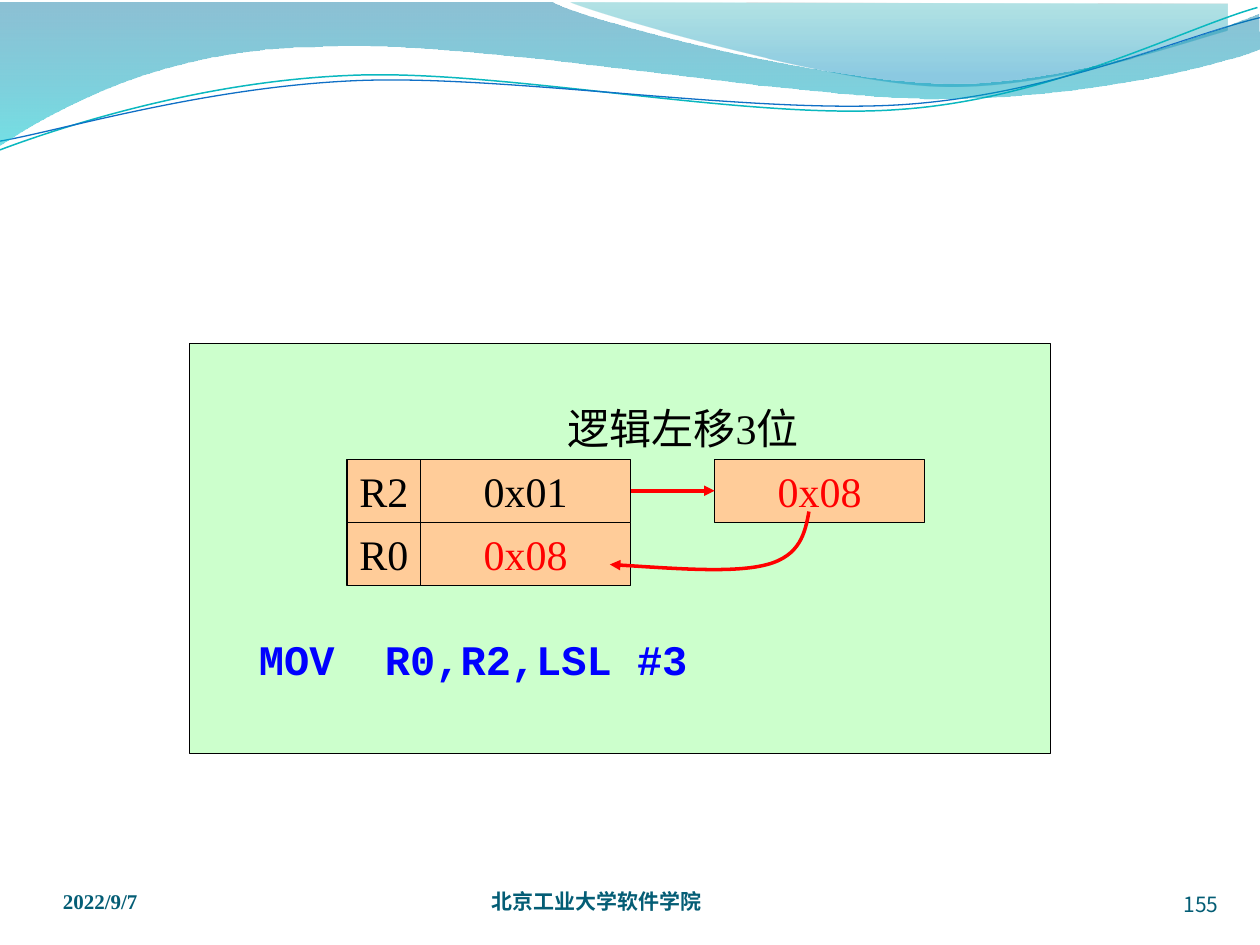
import lxml.etree
import pptx
import pptx.dml.color
import pptx.enum.shapes
import pptx.enum.text
import pptx.oxml.ns
import pptx.util

COLORS = {"panel": "CCFFCC", "cell": "FFCC99", "black": "000000", "red": "FF0000",
          "code": "0000FF", "footer": "045D75", "teal": "0AB8BF", "blue": "0F6FC6",
          "left_top": "0074A1", "left_end": "00C6CF",
          "right_top": "00A1A9", "right_end": "008BBF"}
RGB = {name: pptx.dml.color.RGBColor.from_string(value) for name, value in COLORS.items()}
INCH = 914400
qn = pptx.oxml.ns.qn
ALIGN = pptx.enum.text.PP_ALIGN
ANCHOR = pptx.enum.text.MSO_ANCHOR

deck = pptx.Presentation()
deck.slide_width, deck.slide_height = pptx.util.Inches(10), pptx.util.Inches(7.5)
slide = deck.slides.add_slide(deck.slide_layouts[6])
shapes = slide.shapes


def draw_curve(start, segments, closed):
    """Outline of straight (x, y) and cubic (x1, y1, x2, y2, x, y) segments, in inches."""
    points = [(round(x * 1000), round(y * 1000)) for segment in [start, *segments]
              for x, y in zip(segment[::2], segment[1::2])]
    builder = shapes.build_freeform(*points[0], scale=INCH / 1000)
    builder.add_line_segments(points[1:], close=closed)
    outline = builder.convert_to_shape()
    outline.shadow.inherit = False
    # Each cubic segment takes three points of the polyline
    pieces = iter(outline._element.xpath(".//a:lnTo"))
    for segment in segments:
        piece = next(pieces)
        if len(segment) == 6:
            cubic = lxml.etree.Element(qn("a:cubicBezTo"))
            piece.addprevious(cubic)
            for part in (piece, next(pieces), next(pieces)):
                cubic.append(part[0])
                part.getparent().remove(part)
    return outline


def write_text(box, text, size, color, font="Times New Roman", bold=False,
               align=ALIGN.CENTER, anchor=ANCHOR.MIDDLE, wrap=False):
    frame = box.text_frame
    frame.text = text
    frame.word_wrap = wrap
    frame.vertical_anchor = anchor
    frame.margin_left = frame.margin_right = frame.margin_top = frame.margin_bottom = 0
    paragraph = frame.paragraphs[0]
    paragraph.alignment = align
    run = paragraph.runs[0]
    run.font.size = pptx.util.Pt(size)
    run.font.bold = bold
    run.font.color.rgb = RGB[color]
    run.font.name = font
    east_asian = lxml.etree.SubElement(run.font._element, qn("a:ea"))
    east_asian.set("typeface", "Noto Sans CJK SC")


# Header waves, from back to front
right_wave = ((4.53, 0.02), [(4.83, 0.14, 6.56, 0.64, 7.42, 0.68),
                             (8.29, 0.72, 9.35, 0.35, 9.74, 0.24), (9.74, 0.03)])
teal_line = ((0, 1.19), [(0.48, 1.01, 1.58, 0.65, 2.76, 0.6),
                         (3.95, 0.54, 5.92, 0.96, 7.13, 0.87),
                         (8.33, 0.79, 9.38, 0.23, 9.98, 0.06)])
blue_line = ((0, 1.12), [(0.47, 1.04, 1.63, 0.69, 2.83, 0.64),
                         (4.02, 0.59, 5.97, 0.91, 7.17, 0.83),
                         (8.36, 0.75, 9.41, 0.28, 10, 0.14)])
left_wave = ((-0.01, 0.02), [(4.39, 0.02), (4.75, 0.19, 6.62, 0.66, 7.57, 0.66),
                             (8.52, 0.66, 9.57, 0.28, 9.99, 0.11), (10, 0.39),
                             (9.82, 0.47, 8.69, 0.78, 7.45, 0.78),
                             (6.21, 0.78, 3.81, 0.31, 2.56, 0.37),
                             (1.28, 0.38, 0.45, 0.86, -0.02, 1.16)])
for (start, segments), stops, line in [
        (right_wave, [(0, "right_top", 30), (0.8, "right_end", 45)], None),
        (teal_line, None, ("teal", 0.85)),
        (blue_line, None, ("blue", 0.75)),
        (left_wave, [(0, "left_top", 45), (1, "left_end", 55)], None)]:
    wave = draw_curve(start, segments, closed=bool(stops))
    if stops:
        wave.line.fill.background()
        wave.fill.gradient()
        wave.fill.gradient_angle = 270
        for stop, (position, color, _) in zip(wave.fill.gradient_stops, stops):
            stop.position = position
            stop.color.rgb = RGB[color]
        for element, (_, _, opacity) in zip(wave._element.xpath(".//a:gs/a:srgbClr"), stops):
            lxml.etree.SubElement(element, qn("a:alpha")).set("val", str(opacity * 1000))
    else:
        wave.fill.background()
        wave.line.color.rgb = RGB[line[0]]
        wave.line.width = pptx.util.Pt(line[1])

# Footer: date, school, page number
for text, left, top, width, font, bold, align in [
        ("2022/9/7", 0.05, 0.917, 0.233, "Times New Roman", True, ALIGN.LEFT),
        ("北京工业大学软件学院", 0.39, 0.917, 0.367, "Noto Sans CJK SC", True, ALIGN.LEFT),
        ("155", 0.884, 0.92, 0.083, "Noto Sans CJK SC", False, ALIGN.RIGHT)]:
    footer = shapes.add_textbox(int(left * deck.slide_width), int(top * deck.slide_height),
                                int(width * deck.slide_width), int(0.05 * deck.slide_height))
    write_text(footer, text, 12, "footer", font, bold, align, ANCHOR.BOTTOM, True)

# Diagram grid: twelve units to the inch, counted from the corner of cell R2
UNIT = INCH // 12
GRID_LEFT, GRID_TOP = int(0.2755 * deck.slide_width), int(0.486 * deck.slide_height)
ROW, NAME, VALUE, GAP = 6, 7, 20, 8
SHIFTED = NAME + VALUE + GAP

# Panel and register cells
cells = {}
for key, text, column, row, width, height, fill, color in [
        ("panel", "", -15, -11, 82, 39, "panel", "black"),
        ("r0", "R0", 0, ROW, NAME, ROW, "cell", "black"),
        ("r2", "R2", 0, 0, NAME, ROW, "cell", "black"),
        ("r2_value", "0x01", NAME, 0, VALUE, ROW, "cell", "black"),
        ("r0_value", "0x08", NAME, ROW, VALUE, ROW, "cell", "red"),
        ("shifted", "0x08", SHIFTED, 0, VALUE, ROW, "cell", "red")]:
    cell = shapes.add_shape(pptx.enum.shapes.MSO_SHAPE.RECTANGLE,
                            GRID_LEFT + column * UNIT, GRID_TOP + row * UNIT,
                            width * UNIT, height * UNIT)
    cell.shadow.inherit = False
    cell.fill.solid()
    cell.fill.fore_color.rgb = RGB[fill]
    cell.line.color.rgb = RGB["black"]
    cell.line.width = pptx.util.Pt(0.75)
    if text:
        write_text(cell, text, 24, color)
    cells[key] = cell

# Caption and instruction
for text, column, row, width, color, font, bold in [
        ("逻辑左移3位", 15, -ROW, 34, "black", "Times New Roman", False),
        ("MOV  R0,R2,LSL #3", -9, 16, 42, "code", "Courier New", True)]:
    label = shapes.add_textbox(GRID_LEFT + column * UNIT, GRID_TOP + row * UNIT,
                               width * UNIT, ROW * UNIT)
    write_text(label, text, 24, color, font, bold)

# Arrows: shift R2, then store the result in R0
shift_arrow = shapes.add_connector(pptx.enum.shapes.MSO_CONNECTOR.STRAIGHT, 0, 0, 0, 0)
shift_arrow.begin_connect(cells["r2_value"], 3)
shift_arrow.end_connect(cells["shifted"], 1)
store_arrow = draw_curve((6.42, 4.06), [(6.39, 4.23, 6.35, 4.41, 6.09, 4.48),
                                        (5.83, 4.55, 5.33, 4.51, 4.84, 4.48)], closed=False)
store_arrow.fill.background()
for arrow in (shift_arrow, store_arrow):
    arrow.line.color.rgb = RGB["red"]
    arrow.line.width = pptx.util.Pt(2)
    lxml.etree.SubElement(arrow.line._get_or_add_ln(), qn("a:tailEnd")).set("type", "triangle")
lxml.etree.SubElement(shift_arrow._element.spPr, qn("a:effectLst"))

deck.save("out.pptx")
